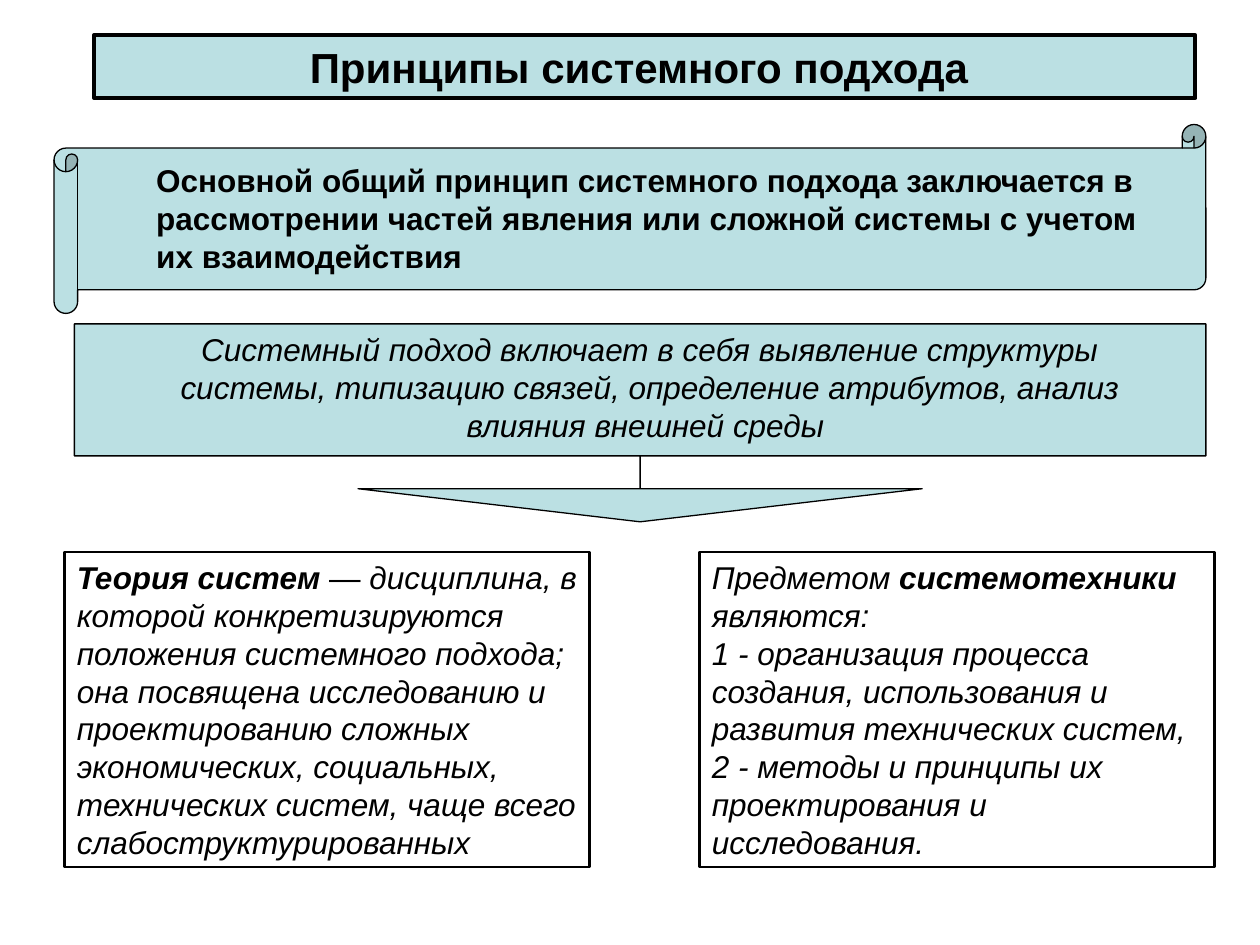
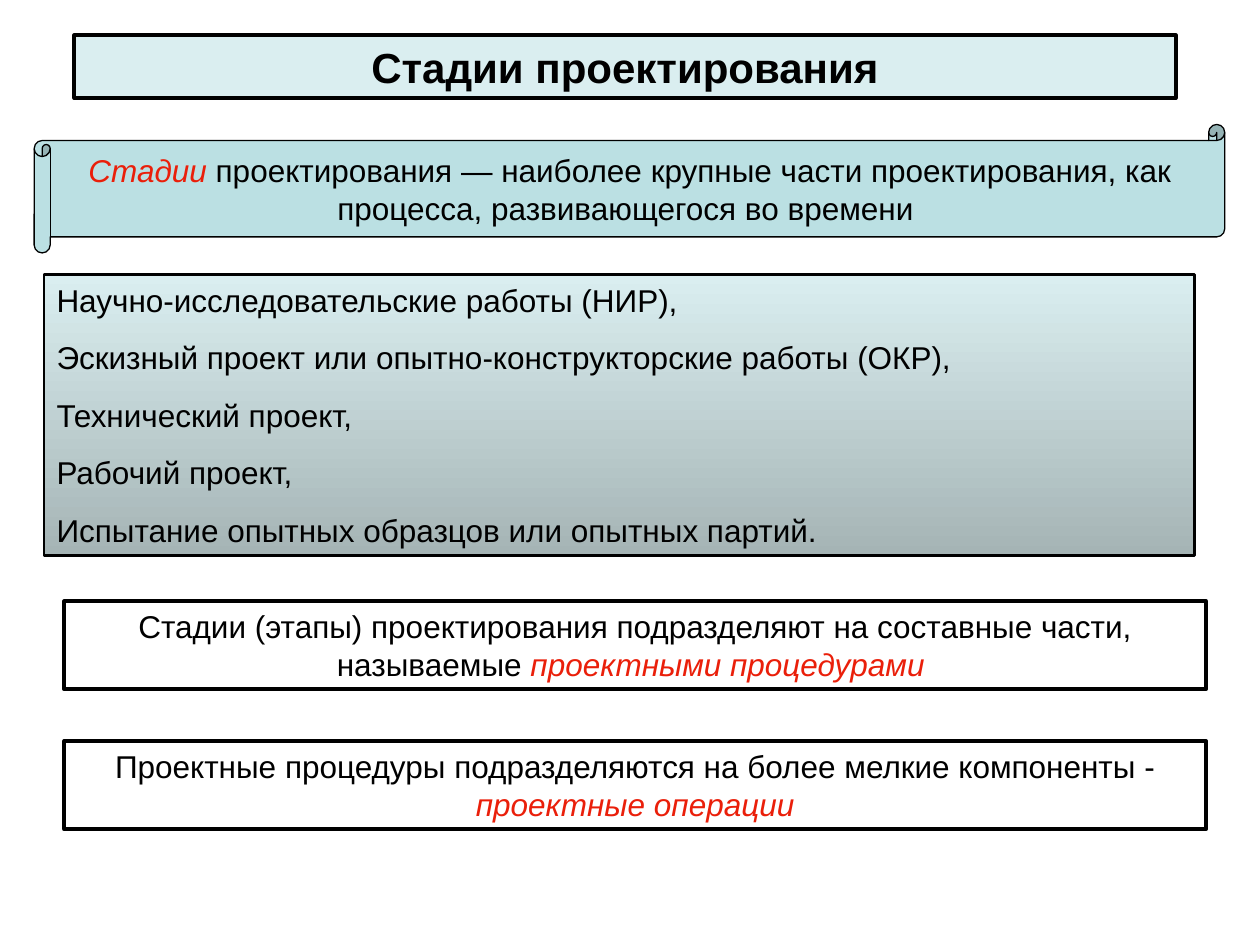
from pptx import Presentation
from pptx.dml.color import RGBColor
from pptx.enum.shapes import MSO_SHAPE
from pptx.enum.text import MSO_ANCHOR, PP_ALIGN
from pptx.util import Cm, Pt

COLOURS = {
    "ink": "000000",
    "accent": "EA1F0A",
    "band": "BBE0E3",
    "pale": "DAEEF0",
    "shade": "A5B4B5",
}
FONT = "Arial"
BODY_SIZE = 18
TITLE_SIZE = 24
PARAGRAPH_GAP = 11.2


def colour(name):
    """Return the named colour."""
    return RGBColor.from_string(COLOURS[name])


def write(frame, paragraphs, centred=False, size=BODY_SIZE, gap=PARAGRAPH_GAP):
    """Fill a frame with paragraphs, each a list of (text, styles) pieces."""
    frame.word_wrap = True
    frame.vertical_anchor = MSO_ANCHOR.TOP
    for index, pieces in enumerate(paragraphs):
        paragraph = frame.add_paragraph() if index else frame.paragraphs[0]
        paragraph.alignment = PP_ALIGN.CENTER if centred else PP_ALIGN.LEFT
        paragraph.space_before = Pt(gap if index else 0)
        for text, styles in pieces:
            run = paragraph.add_run()
            run.text = text
            run.font.name = FONT
            run.font.size = Pt(size)
            run.font.bold = "bold" in styles
            run.font.italic = "italic" in styles
            run.font.color.rgb = colour("accent" if "accent" in styles else "ink")


def add_figure(slide, preset, area, fill=None, line_width=0.75):
    """Add a black-outlined preset shape."""
    figure = slide.shapes.add_shape(preset, *map(Cm, area))
    figure.shadow.inherit = False
    if fill:
        figure.fill.solid()
        figure.fill.fore_color.rgb = colour(fill)
    else:
        figure.fill.background()
    figure.line.color.rgb = colour("ink")
    figure.line.width = Pt(line_width)
    return figure


def add_panel(slide, area, paragraphs, fill=None, line_width=1.5, **layout):
    """Add a framed rectangle with text."""
    panel = add_figure(slide, MSO_SHAPE.RECTANGLE, area, fill, line_width)
    write(panel.text_frame, paragraphs, **layout)
    return panel


def add_title(slide, left, text, fill):
    """Add the title band."""
    add_panel(slide, (left, 0.71, 22.2, 1.27), [[(text, "bold")]], fill,
              line_width=2.25, centred=True, size=TITLE_SIZE)


def add_caption(slide, area, pieces, centred=True):
    """Add an unframed single paragraph."""
    caption = slide.shapes.add_textbox(*map(Cm, area))
    write(caption.text_frame, [pieces], centred)


def add_scroll(slide, area):
    """Add the scroll behind a key statement."""
    add_figure(slide, MSO_SHAPE.HORIZONTAL_SCROLL, area, "band")


def add_down_callout(slide, area):
    """Add a block whose thin stem ends in a wide downward arrowhead."""
    callout = add_figure(slide, MSO_SHAPE.DOWN_ARROW_CALLOUT, area, "band")
    for index, share in enumerate((0, 1.425, 0.167, 0.667)):
        callout.adjustments[index] = share


def add_gradient_list(slide, area, items):
    """Add a list on a vertical gradient."""
    panel = add_panel(slide, area, [[(item, "")] for item in items])
    panel.fill.gradient()
    panel.fill.gradient_angle = 270
    for stop, name in zip(panel.fill.gradient_stops, ("pale", "shade")):
        stop.color.rgb = colour(name)


def build_principles(slide):
    """Build the slide on the principles of the systems approach."""
    add_down_callout(slide, (1.5, 6.53, 22.81, 3.99))
    add_scroll(slide, (1.09, 2.51, 23.22, 3.81))
    add_title(slide, 1.9, "Принципы системного подхода ", "band")
    add_caption(slide, (2.9, 3.12, 20.6, 2.54), [
        ("Основной общий принцип системного подхода заключается в рассмотрении "
         "частей явления или сложной системы с учетом их взаимодействия", "bold"),
    ], centred=False)
    add_caption(slide, (2.29, 6.53, 21.62, 2.54), [
        ("Системный подход включает в себя выявление структуры системы, типизацию "
         "связей, определение атрибутов, анализ влияния внешней среды ", "italic"),
    ])
    add_panel(slide, (1.3, 11.13, 10.59, 6.35), [[
        ("Теория систем ", "bold italic"),
        ("— ", ""),
        ("дисциплина, в которой конкретизируются положения системного подхода; "
         "она посвящена исследованию и проектированию сложных экономических, "
         "социальных, технических систем, чаще всего слабоструктурированных", "italic"),
    ]])
    add_panel(slide, (14.1, 11.13, 10.39, 6.35), [
        [("Предметом ", "italic"), ("системотехники", "bold italic"),
         (" являются:", "italic")],
        [("1 - организация процесса создания, использования и развития "
          "технических систем,", "italic")],
        [("2 - методы и принципы их проектирования и исследования.", "italic")],
    ], gap=0)


def build_stages(slide):
    """Build the slide on the design stages."""
    add_scroll(slide, (0.69, 2.51, 24, 2.59))
    add_title(slide, 1.5, "Стадии проектирования", "pale")
    add_caption(slide, (1.09, 2.92, 23.22, 1.78), [
        ("Стадии ", "accent italic"),
        ("проектирования — наиболее крупные части проектирования, как процесса, "
         "развивающегося во времени ", ""),
    ])
    add_gradient_list(slide, (0.89, 5.54, 23.19, 5.66), [
        "Научно-исследовательские работы (НИР),",
        "Эскизный проект или опытно-конструкторские работы (ОКР),",
        "Технический проект,",
        "Рабочий проект,",
        "Испытание опытных образцов или опытных партий.",
    ])
    divisions = [
        ("Стадии (этапы) проектирования подразделяют на составные части, называемые ",
         "проектными процедурами "),
        ("Проектные процедуры подразделяются на более мелкие компоненты - ",
         "проектные операции"),
    ]
    for index, (statement, term) in enumerate(divisions):
        add_panel(slide, (1.3, 12.12 + index * 2.82, 23.01, 1.78),
                  [[(statement, ""), (term, "accent italic")]],
                  line_width=2.25, centred=True)


def main():
    """Build and save the presentation."""
    presentation = Presentation()
    presentation.slide_width = Cm(25.4)
    presentation.slide_height = Cm(19.05)
    blank = presentation.slide_layouts[6]
    for build in (build_principles, build_stages):
        build(presentation.slides.add_slide(blank))
    presentation.save("out.pptx")


if __name__ == "__main__":
    main()
